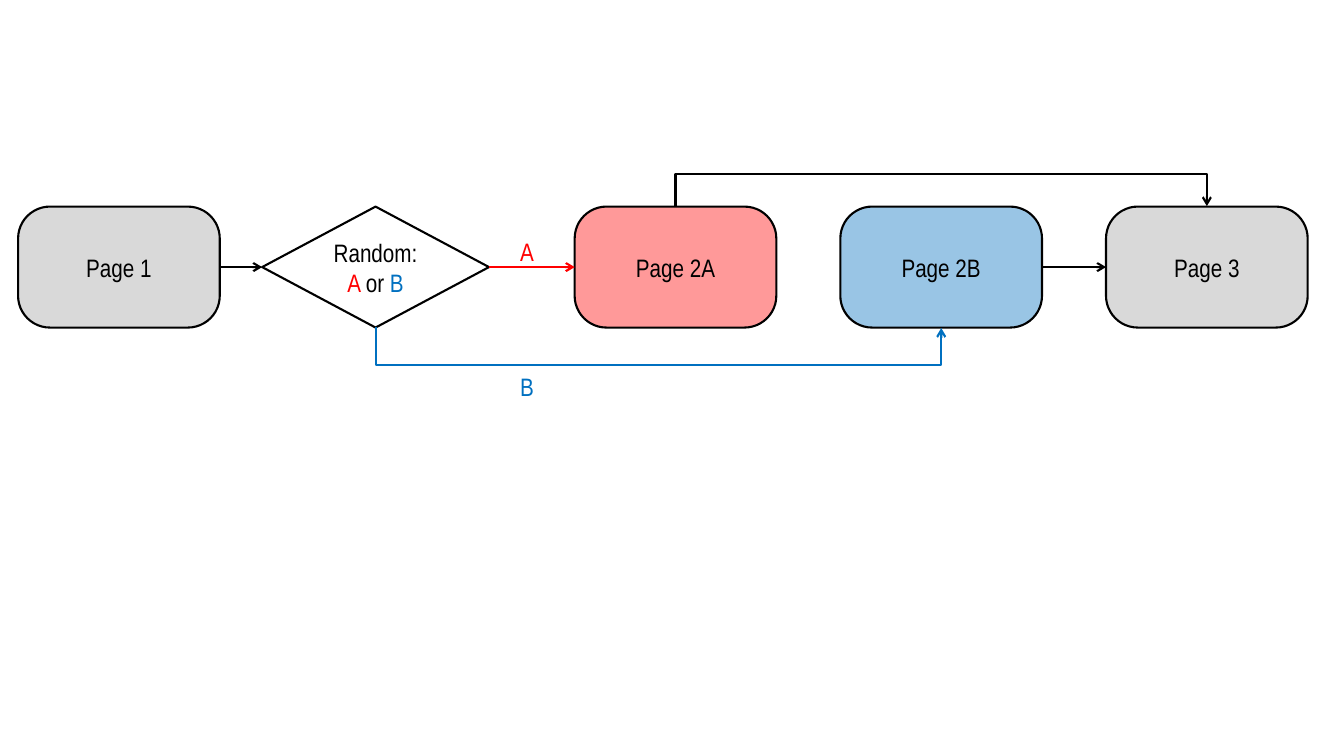
from lxml import etree
from pptx import Presentation
from pptx.dml.color import RGBColor
from pptx.enum import shapes, text
from pptx.oxml import ns
from pptx.util import Inches, Pt

COLORS = {"ink": "000000", "grey": "D9D9D9", "red": "FF0000", "blue": "0070C0"}
FONT = "Arial Narrow"
TOP, BOTTOM, MIDDLE = 2.05, 3.25, 2.65
PAGE_WIDTH, PAGE_HEIGHT = 2, BOTTOM - TOP
PAGE_PITCH, FIRST_BRANCH = 2.635, 5.7
TOP_SITE, LEFT_SITE, BOTTOM_SITE, RIGHT_SITE = range(4)


def rgb(color):
    return RGBColor.from_string(COLORS[color])


def add_child(parent, tag, **attributes):
    return etree.SubElement(parent, ns.qn(tag), attributes)


def write_runs(paragraph, runs):
    for words, color in runs:
        run = paragraph.add_run()
        run.text = words
        run.font.name, run.font.size = FONT, Pt(18)
        run.font.color.rgb = rgb(color)


def add_step(slide, kind, left, width, lines, fill=None, alpha=None):
    """Outlined flowchart step with centred lines of coloured runs."""
    step = slide.shapes.add_shape(
        kind, Inches(left), Inches(TOP), Inches(width), Inches(PAGE_HEIGHT))
    step.shadow.inherit = False
    step.line.color.rgb, step.line.width = rgb("ink"), Pt(1.5)
    if fill:
        step.fill.solid()
        step.fill.fore_color.rgb = rgb(fill)
    else:
        step.fill.background()
    if alpha:
        tint = step._element.spPr.find(ns.qn("a:solidFill"))[0]
        add_child(tint, "a:alpha", val=str(alpha * 1000))
    frame = step.text_frame
    frame.vertical_anchor = text.MSO_ANCHOR.MIDDLE
    for index, runs in enumerate(lines):
        paragraph = frame.add_paragraph() if index else frame.paragraphs[0]
        paragraph.alignment = text.PP_ALIGN.CENTER
        write_runs(paragraph, runs)
    return step


def add_page(slide, left, title, fill, alpha=None):
    page = add_step(slide, shapes.MSO_SHAPE.ROUNDED_RECTANGLE, left, PAGE_WIDTH,
                    [[(title, "ink")]], fill, alpha)
    page.adjustments[0] = 0.263
    return page


def style_arrow(arrow, color):
    arrow.line.color.rgb, arrow.line.width = rgb(color), Pt(1.5)
    add_child(arrow.line._get_or_add_ln(), "a:tailEnd", type="arrow")
    add_child(arrow._element.spPr, "a:effectLst")


def add_straight_arrow(slide, source, target, color="ink"):
    arrow = slide.shapes.add_connector(shapes.MSO_CONNECTOR.STRAIGHT, 0, 0, 0, 0)
    arrow.begin_connect(source, RIGHT_SITE)
    arrow.end_connect(target, LEFT_SITE)
    style_arrow(arrow, color)


def add_detour(slide, start, end, y, depth, below, color):
    """U-shaped arrow: a thin elbow connector turned by a quarter."""
    thin = 0.01
    center, half_span = (start + end) / 2, (end - start) / 2
    side = -1 if below else 1
    arrow = slide.shapes.add_connector(
        shapes.MSO_CONNECTOR.ELBOW,
        Inches(center + thin / 2), Inches(y + side * half_span),
        Inches(center - thin / 2), Inches(y - side * half_span))
    properties = arrow._element.spPr
    properties.find(ns.qn("a:xfrm")).set("rot", str((270 if below else 90) * 60000))
    bend = properties.find(ns.qn("a:prstGeom")).find(ns.qn("a:avLst"))
    add_child(bend, "a:gd", name="adj1", fmla=f"val {round(depth / thin * 100000)}")
    style_arrow(arrow, color)


def add_branch_label(slide, left, top, letter, color):
    label = slide.shapes.add_textbox(
        Inches(left), Inches(top), Inches(0.34), Inches(0.4))
    label.text_frame.word_wrap = False
    label.text_frame.auto_size = text.MSO_AUTO_SIZE.SHAPE_TO_FIT_TEXT
    write_runs(label.text_frame.paragraphs[0], [(letter, color)])


def add_flow(slide):
    # Pages and the random choice
    branch_a, branch_b, last = (FIRST_BRANCH + i * PAGE_PITCH for i in range(3))
    page_1 = add_page(slide, 0.18, "Page 1", "grey")
    page_2a = add_page(slide, branch_a, "Page 2A", "red", 40)
    page_2b = add_page(slide, branch_b, "Page 2B", "blue", 40)
    page_3 = add_page(slide, last, "Page 3", "grey")
    choice_left, choice_width = 2.6, 2.25
    choice = add_step(
        slide, shapes.MSO_SHAPE.DIAMOND, choice_left, choice_width,
        [[("Random:", "ink")], [("A ", "red"), ("or ", "ink"), ("B", "blue")]])

    # Straight arrows
    add_straight_arrow(slide, page_2b, page_3)
    add_straight_arrow(slide, page_1, choice)
    add_straight_arrow(slide, choice, page_2a, "red")

    # Detours below and above the row
    half_page = PAGE_WIDTH / 2
    add_detour(slide, choice_left + choice_width / 2, branch_b + half_page,
               BOTTOM, 0.38, True, "blue")
    add_detour(slide, branch_a + half_page, last + half_page,
               TOP, 0.33, False, "ink")

    # Branch labels
    add_branch_label(slide, 5.06, 2.3, "A", "red")
    add_branch_label(slide, 5.06, 3.63, "B", "blue")


def main():
    deck = Presentation()
    deck.slide_width, deck.slide_height = Inches(13.33), Inches(7.5)
    add_flow(deck.slides.add_slide(deck.slide_layouts[6]))
    deck.save("out.pptx")


if __name__ == "__main__":
    main()
